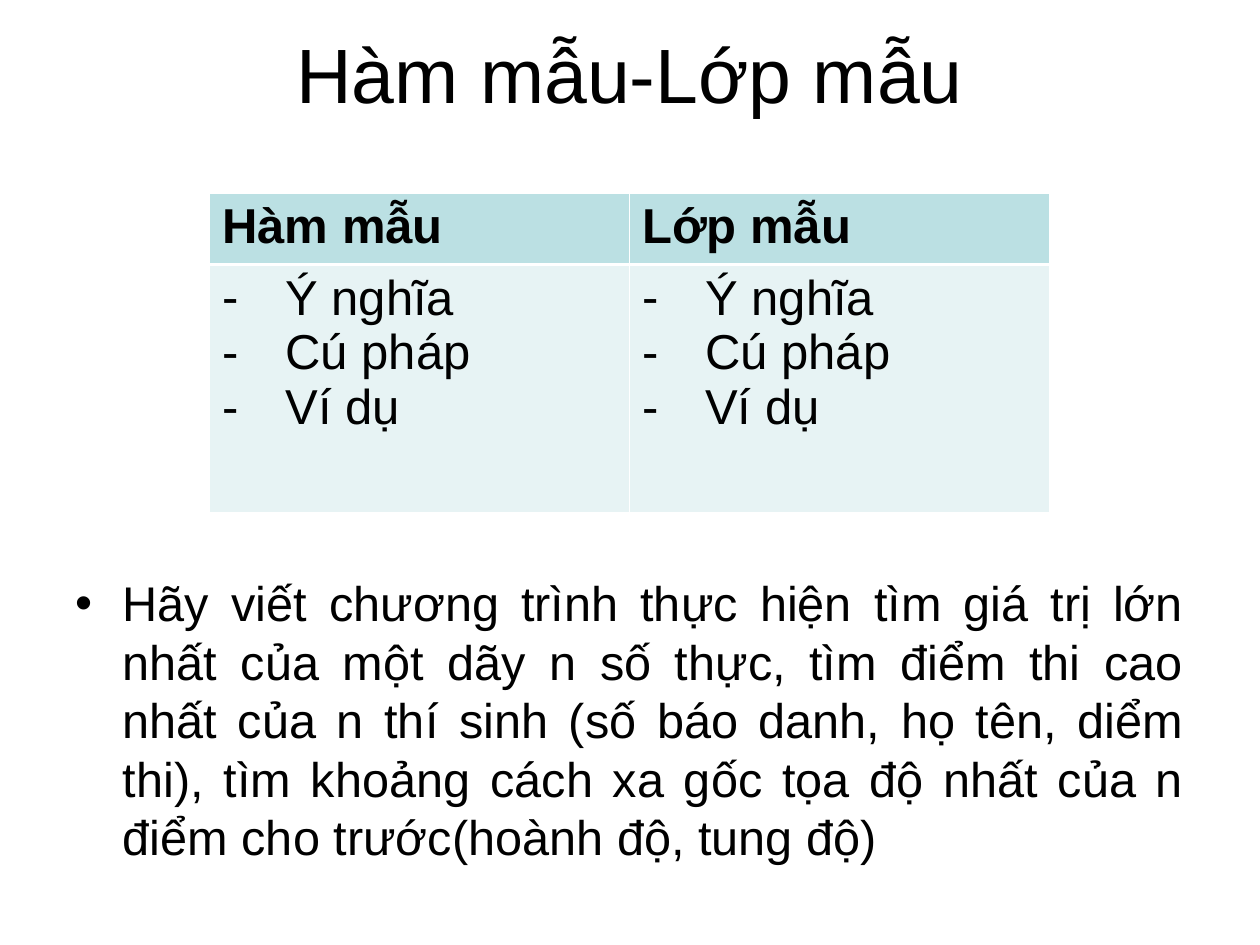
from lxml.etree import SubElement
from pptx import Presentation
from pptx.dml.color import RGBColor
from pptx.enum.text import MSO_ANCHOR, MSO_AUTO_SIZE, PP_ALIGN
from pptx.oxml.ns import qn
from pptx.util import Cm, Pt

BLACK = RGBColor(0x00, 0x00, 0x00)
WHITE = RGBColor(0xFF, 0xFF, 0xFF)
HEADER_FILL = RGBColor(0xBB, 0xE0, 0xE3)
BODY_FILL = RGBColor(0xE7, 0xF3, 0xF4)
FONT = "Arial"
THIN, THICK = Pt(0.45), Pt(1.47)

TITLE = "Hàm mẫu-Lớp mẫu"
HEADERS = ["Hàm mẫu", "Lớp mẫu"]
TOPICS = ["Ý nghĩa", "Cú pháp", "Ví dụ"]
EXERCISE = (
    "Hãy viết chương trình thực hiện tìm giá trị lớn nhất của một dãy n số thực, "
    "tìm điểm thi cao nhất của n thí sinh (số báo danh, họ tên, diểm thi), "
    "tìm khoảng cách xa gốc tọa độ nhất của n điểm cho trước(hoành độ, tung độ)"
)


def format_runs(para, size, bold=False):
    for span in para.runs:
        span.font.name = FONT
        span.font.size = Pt(size)
        span.font.bold = bold
        span.font.color.rgb = BLACK


def place(shape, left, top, width, height):
    shape.left, shape.top, shape.width, shape.height = left, top, width, height


def set_hanging_indent(para, indent):
    props = para._p.get_or_add_pPr()
    props.set("marL", str(indent))
    props.set("indent", str(-indent))
    return props


def add_dash(para):
    """Give the paragraph a hanging dash as its bullet."""
    props = set_hanging_indent(para, Cm(1.27))
    SubElement(props, qn("a:buFont"), typeface=FONT)
    SubElement(props, qn("a:buChar"), char="-")


def set_borders(cell, top, bottom):
    """Draw white cell borders; the fill must be set afterwards."""
    props = cell._tc.get_or_add_tcPr()
    for side, width in (("L", THIN), ("R", THIN), ("T", top), ("B", bottom)):
        line = SubElement(props, qn(f"a:ln{side}"), w=str(width))
        fill = SubElement(line, qn("a:solidFill"))
        SubElement(fill, qn("a:srgbClr"), val=str(WHITE))


def fill_title(box, left, top, width, height):
    place(box, left, top, width, height)
    frame = box.text_frame
    frame.text = TITLE
    frame.auto_size = MSO_AUTO_SIZE.NONE
    frame.vertical_anchor = MSO_ANCHOR.MIDDLE
    frame.margin_bottom = Cm(1.88)
    para = frame.paragraphs[0]
    para.alignment = PP_ALIGN.CENTER
    format_runs(para, 44)


def fill_exercise(box, left, top, width, height):
    place(box, left, top, width, height)
    frame = box.text_frame
    frame.text = EXERCISE
    frame.auto_size = MSO_AUTO_SIZE.NONE
    para = frame.paragraphs[0]
    set_hanging_indent(para, Cm(0.95))
    para.alignment = PP_ALIGN.JUSTIFY
    para.space_before = Pt(0)
    format_runs(para, 27.8)


def add_comparison(page, left, top, width, height):
    table = page.shapes.add_table(2, len(HEADERS), left, top, width, height).table
    header_height = Cm(1.44)
    table.rows[0].height = header_height
    table.rows[1].height = height - header_height
    for column, header in enumerate(HEADERS):
        head, body = table.cell(0, column), table.cell(1, column)
        set_borders(head, THIN, THICK)
        set_borders(body, THICK, THIN)
        for cell, color in ((head, HEADER_FILL), (body, BODY_FILL)):
            cell.fill.solid()
            cell.fill.fore_color.rgb = color
        head.text_frame.text = header
        format_runs(head.text_frame.paragraphs[0], 28, bold=True)
        body.text_frame.text = "\n".join(TOPICS)
        for para in body.text_frame.paragraphs:
            add_dash(para)
            format_runs(para, 28)


def main():
    deck = Presentation()
    deck.slide_width, deck.slide_height = Cm(25.4), Cm(19.05)
    page = deck.slides.add_slide(deck.slide_layouts[1])
    fill_title(page.shapes.title, Cm(1.27), Cm(0.76), Cm(22.86), Cm(3.18))
    fill_exercise(page.placeholders[1], Cm(1.27), Cm(11.43), Cm(22.86), Cm(6.99))
    add_comparison(page, Cm(4.23), Cm(3.89), Cm(16.93), Cm(6.44))
    deck.save("out.pptx")


if __name__ == "__main__":
    main()
